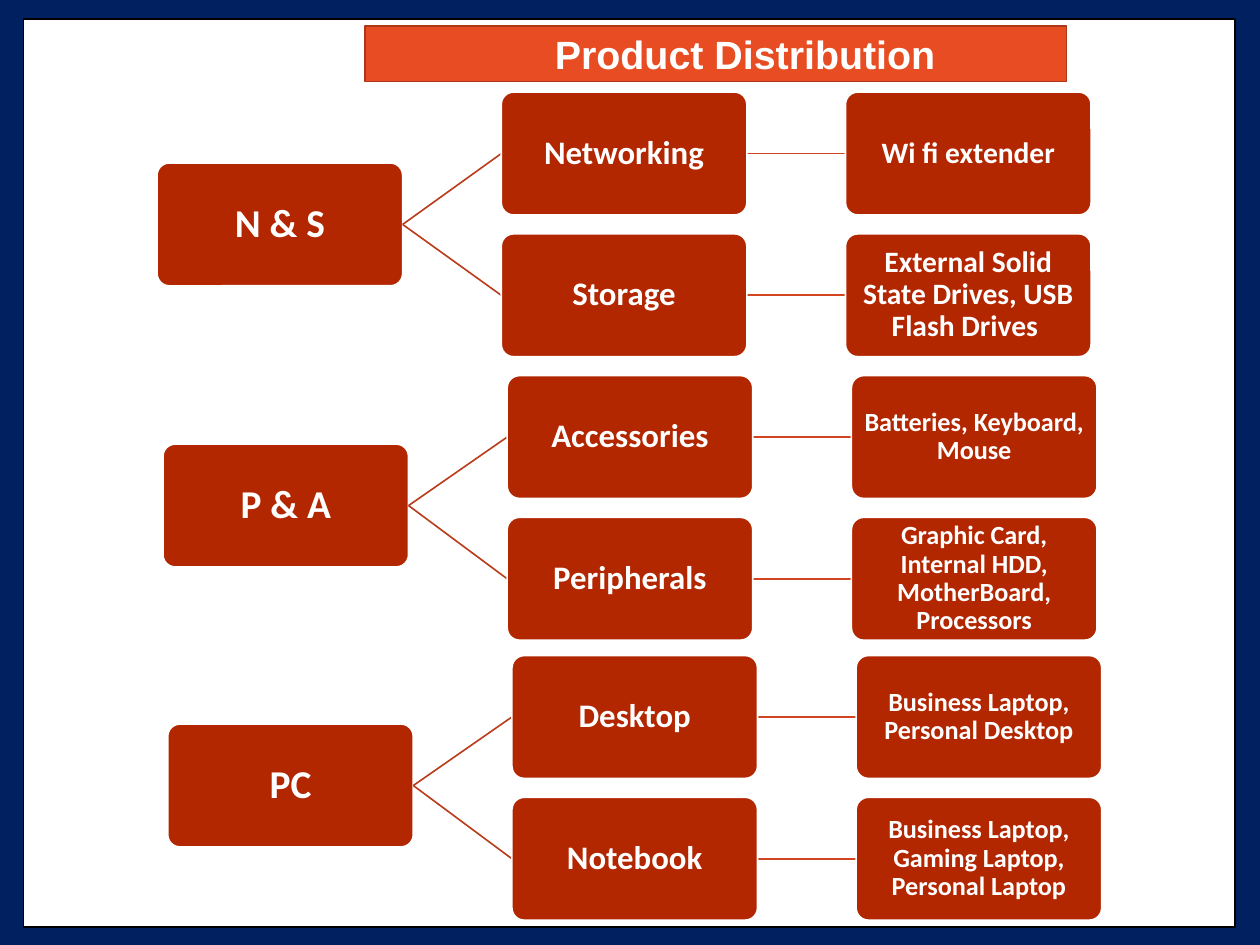
from dataclasses import dataclass

from lxml.etree import SubElement
from pptx import Presentation
from pptx.dml.color import RGBColor
from pptx.enum.shapes import MSO_CONNECTOR, MSO_SHAPE
from pptx.enum.text import MSO_ANCHOR, MSO_AUTO_SIZE, PP_ALIGN
from pptx.oxml.ns import qn
from pptx.util import Inches, Pt

COLORS = {
    "background": "002060",
    "white": "FFFFFF",
    "black": "000000",
    "title": "E84C22",
    "title_line": "AC3819",
    "box": "B22600",
    "branch": "BA3D1B",
    "detail_link": "D3451F",
}
BOX_W, BOX_H = 2.08, 1.04
COLUMN_STEP = 2.915
ROW_STEP = 1.2


@dataclass
class Category:
    name: str
    detail: str
    detail_size: int = 16


@dataclass
class Division:
    name: str
    left: float
    top: float
    first_row: float
    categories: list[Category]


DIVISIONS = [
    Division("N & S", 1.33, 1.38, 0.78, [
        Category("Networking", "Wi fi extender", 18),
        Category("Storage", "External Solid State Drives, USB Flash Drives ", 18),
    ]),
    Division("P & A", 1.38, 3.76, 3.18, [
        Category("Accessories", "Batteries, Keyboard, Mouse"),
        Category("Peripherals", "Graphic Card, Internal HDD, MotherBoard, Processors"),
    ]),
    Division("PC", 1.42, 6.13, 5.55, [
        Category("Desktop", "Business Laptop, Personal Desktop"),
        Category("Notebook", "Business Laptop, Gaming Laptop, Personal Laptop"),
    ]),
]


def rgb(name: str) -> RGBColor:
    return RGBColor.from_string(COLORS[name])


def paint(sp, fill: str, line: str) -> None:
    sp.fill.solid()
    sp.fill.fore_color.rgb = rgb(fill)
    sp.line.color.rgb = rgb(line)
    sp.line.width = Pt(1)


def write(sp, text: str, *, size: int, font: str = "Calibri", color: str = "white",
          inset: float = 0.01, inset_y: float = 0.01, spacing: float = 0.9):
    tf = sp.text_frame
    tf.word_wrap = True
    tf.auto_size = MSO_AUTO_SIZE.NONE
    tf.vertical_anchor = MSO_ANCHOR.MIDDLE
    tf.margin_left = tf.margin_right = Inches(inset)
    tf.margin_top = tf.margin_bottom = Inches(inset_y)
    p = tf.paragraphs[0]
    p.alignment = PP_ALIGN.CENTER
    p.line_spacing = spacing
    p.space_before = Pt(0)
    r = p.add_run()
    r.text = text
    r.font.name = font
    r.font.size = Pt(size)
    r.font.bold = True
    r.font.color.rgb = rgb(color)
    return p


def add_box(slide, left: float, top: float, text: str, size: int) -> None:
    sp = slide.shapes.add_shape(MSO_SHAPE.ROUNDED_RECTANGLE, Inches(left), Inches(top),
                                Inches(BOX_W), Inches(BOX_H))
    sp.adjustments[0] = 0.1
    sp.shadow.inherit = False
    paint(sp, "box", "white")
    write(sp, text, size=size)


def add_link(slide, x1: float, y1: float, x2: float, y2: float, color: str) -> None:
    cn = slide.shapes.add_connector(MSO_CONNECTOR.STRAIGHT, Inches(x1), Inches(y1),
                                    Inches(x2), Inches(y2))
    cn.line.color.rgb = rgb(color)
    cn.line.width = Pt(1)
    SubElement(cn._element.spPr, qn("a:effectLst"))


def add_division(slide, division: Division) -> None:
    category_x = division.left + COLUMN_STEP
    detail_x = category_x + COLUMN_STEP
    root_y = division.top + BOX_H / 2
    add_box(slide, division.left, division.top, division.name, 24)
    for i, category in enumerate(division.categories):
        top = division.first_row + i * ROW_STEP
        y = top + BOX_H / 2
        add_link(slide, division.left + BOX_W, root_y, category_x, y, "branch")
        add_link(slide, category_x + BOX_W, y, detail_x, y, "detail_link")
        add_box(slide, category_x, top, category.name, 20)
        add_box(slide, detail_x, top, category.detail, category.detail_size)


def add_title(slide, text: str):
    title = slide.shapes.title
    title.left, title.top = Inches(3.09), Inches(0.22)
    title.width, title.height = Inches(5.94), Inches(0.47)
    paint(title, "title", "title_line")
    p = write(title, text, size=24, font="Arial", inset=0.1, inset_y=0.05, spacing=1.0)
    pPr = p._p.get_or_add_pPr()
    pPr.set("marL", str(Inches(0.5)))
    pPr.set("indent", "0")
    return title


def main() -> None:
    prs = Presentation()
    prs.slide_width, prs.slide_height = Inches(10.67), Inches(8)
    slide = prs.slides.add_slide(prs.slide_layouts[5])
    slide.background.fill.solid()
    slide.background.fill.fore_color.rgb = rgb("background")

    title = add_title(slide, "Product Distribution")
    frame = slide.shapes.add_shape(MSO_SHAPE.RECTANGLE, Inches(0.2), Inches(0.16),
                                   Inches(10.26), Inches(7.69))
    frame.shadow.inherit = False
    paint(frame, "white", "black")
    title._element.addprevious(frame._element)

    for division in DIVISIONS:
        add_division(slide, division)
    prs.save("out.pptx")


if __name__ == "__main__":
    main()
